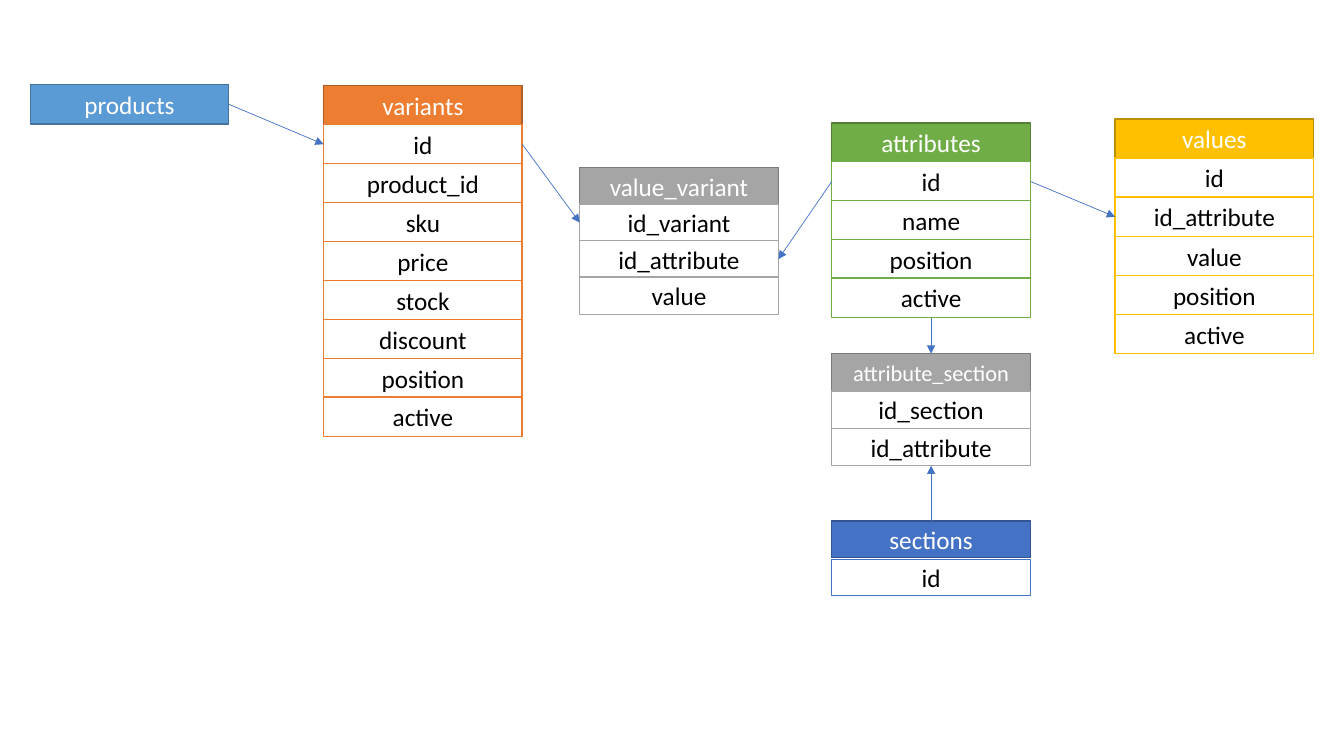
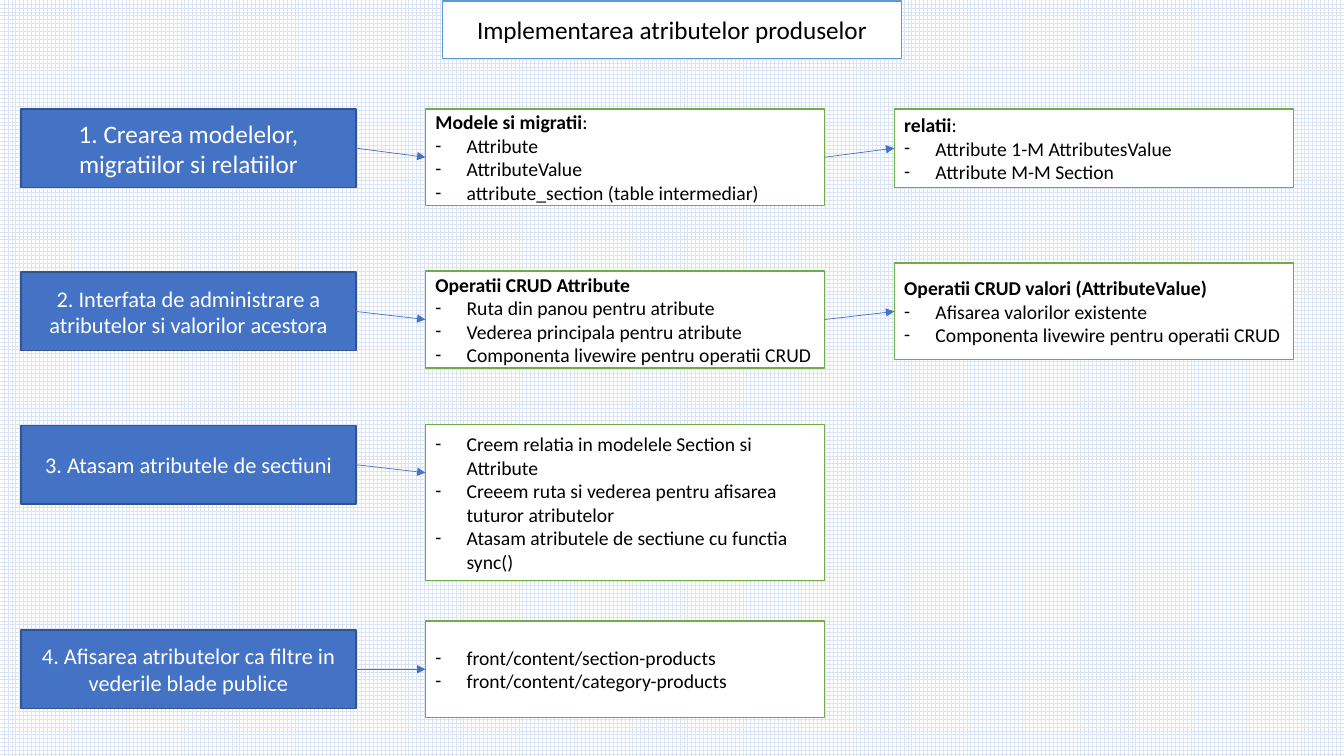
from dataclasses import dataclass

from pptx import Presentation
from pptx.dml.color import RGBColor as RGB
from pptx.enum.dml import MSO_PATTERN
from pptx.enum.shapes import MSO_CONNECTOR, MSO_SHAPE
from pptx.enum.text import MSO_ANCHOR, MSO_AUTO_SIZE, PP_ALIGN
from pptx.oxml.ns import qn
from pptx.util import Inches, Pt
from lxml.etree import SubElement


@dataclass(frozen=True)
class Theme:
    font: str = "Calibri"
    head: int = 18
    step: int = 16
    detail: int = 14
    white: str = "FFFFFF"
    black: str = "000000"
    grid: str = "DAE3F3"
    arrow: str = "4472C4"
    border: float = 1
    arrow_width: float = 0.5
    indent: float = 0.31


T = Theme()

# accent: (fill, header outline)
ACCENTS = {
    "sky": ("5B9BD5", "43739E"),
    "orange": ("ED7D31", "AF5C24"),
    "grey": ("A5A5A5", "7A7A7A"),
    "green": ("70AD47", "538035"),
    "gold": ("FFC000", "BD8E00"),
    "blue": ("4472C4", "325491"),
}
TOP, LEFT, BOTTOM, RIGHT = range(4)  # connection sites of a rectangle

ENTITY_W = 1.97
ENTITY_COLS = (0.3, 3.21, 5.75, 8.25, 11.06)
# name: (column, top, bottom, row height, accent, header size, fields)
ENTITIES = {
    "products": (0, 0.84, 1.23, 0.39, "sky", T.head, []),
    "variants": (1, 0.85, 4.33, 0.39, "orange", T.head,
                 ["id", "product_id", "sku", "price", "stock", "discount",
                  "position", "active"]),
    "value_variant": (2, 1.66, 3.12, 0.37, "grey", T.head,
                      ["id_variant", "id_attribute", "value"]),
    "attributes": (3, 1.22, 3.15, 0.39, "green", T.head,
                   ["id", "name", "position", "active"]),
    "attribute_section": (3, 3.51, 4.62, 0.37, "grey", T.step,
                          ["id_section", "id_attribute"]),
    "sections": (3, 5.17, 5.91, 0.36, "blue", T.head, ["id"]),
    "values": (4, 1.18, 3.51, 0.39, "gold", T.head,
               ["id", "id_attribute", "value", "position", "active"]),
}
# (entity, row, site) to (entity, row, site); row 0 is the header
RELATIONS = [
    (("products", 0, RIGHT), ("variants", 1, LEFT)),
    (("variants", 1, RIGHT), ("value_variant", 1, LEFT)),
    (("attributes", 1, LEFT), ("value_variant", 2, RIGHT)),
    (("attributes", 1, RIGHT), ("values", 2, LEFT)),
    (("attributes", 4, BOTTOM), ("attribute_section", 0, TOP)),
    (("sections", 0, TOP), ("attribute_section", 2, BOTTOM)),
]

PLAN_COLS = ((0.21, 3.32), (4.22, 3.96), (8.87, 3.96))
STEP_H, DETAIL_H = 0.78, 0.96
# (step top, step text, size, [(top, height, heading, bullets), ...])
PLAN = [
    (1.08, "1. Crearea modelelor, migratiilor si relatiilor", T.head, [
        (1.08, DETAIL_H, "Modele si migratii:",
         ["Attribute", "AttributeValue",
          "attribute_section (table intermediar)"]),
        (1.08, STEP_H, "relatii:",
         ["Attribute 1-M AttributesValue", "Attribute M-M Section"]),
    ]),
    (2.7, "2. Interfata de administrare a atributelor si valorilor acestora",
     T.step, [
         (2.69, DETAIL_H, "Operatii CRUD Attribute",
          ["Ruta din panou pentru atribute",
           "Vederea principala pentru atribute",
           "Componenta livewire pentru operatii CRUD"]),
         (2.61, DETAIL_H, "Operatii CRUD valori (AttributeValue)",
          ["Afisarea valorilor existente",
           "Componenta livewire pentru operatii CRUD"]),
     ]),
    (4.22, "3. Atasam atributele de sectiuni", T.step, [
        (4.21, 1.55, "",
         ["Creem relatia in modelele Section si Attribute",
          "Creeem ruta si vederea pentru afisarea tuturor atributelor",
          "Atasam atributele de sectiune cu functia sync()"]),
    ]),
    (6.25, "4. Afisarea atributelor ca filtre in vederile blade publice",
     T.step, [
         (6.16, DETAIL_H, "",
          ["front/content/section-products",
           "front/content/category-products"]),
     ]),
]


def rgb(value):
    return RGB.from_string(value)


def add_run(p, text, size, color, bold=False):
    r = p.add_run()
    r.text = text
    for name, value in dict(name=T.font, size=Pt(size), bold=bold).items():
        setattr(r.font, name, value)
    r.font.color.rgb = rgb(color)


def style_box(sp, fill, line):
    sp.fill.solid()
    sp.fill.fore_color.rgb = rgb(fill)
    sp.line.color.rgb = rgb(line)
    sp.line.width = Pt(T.border)
    tf = sp.text_frame
    frame = dict(word_wrap=True, vertical_anchor=MSO_ANCHOR.MIDDLE,
                 auto_size=MSO_AUTO_SIZE.NONE)
    for name, value in frame.items():
        setattr(tf, name, value)
    return tf


def add_box(shapes, box, fill, line):
    sp = shapes.add_shape(MSO_SHAPE.RECTANGLE, *map(Inches, box))
    sp.shadow.inherit = False
    style_box(sp, fill, line)
    return sp


def add_label(sp, text, size, color):
    p = sp.text_frame.paragraphs[0]
    p.alignment = PP_ALIGN.CENTER
    add_run(p, text, size, color)


def add_bullet(p):
    pPr = p._p.get_or_add_pPr()
    pPr.set("marL", str(Inches(T.indent)))
    pPr.set("indent", str(-Inches(T.indent)))
    SubElement(pPr, qn("a:buFont"), typeface=T.font)
    SubElement(pPr, qn("a:buChar"), char="-")


def add_arrow(slide, start, start_site, end, end_site, drop=None):
    """Join two boxes; drop ends the arrow that far below the target's top."""
    line = slide.shapes.add_connector(MSO_CONNECTOR.STRAIGHT, 0, 0, 0, 0)
    line.begin_connect(start, start_site)
    if drop is None:
        line.end_connect(end, end_site)
    else:
        line.end_x, line.end_y = end.left, end.top + Inches(drop)
    line.line.color.rgb = rgb(T.arrow)
    line.line.width = Pt(T.arrow_width)
    spPr = line._element.spPr
    SubElement(spPr.find(qn("a:ln")), qn("a:tailEnd"), type="triangle")
    SubElement(spPr, qn("a:effectLst"))


def add_entity(slide, name, col, top, bottom, height, accent, size, fields):
    """Stack a header and its fields between top and bottom; return the rows."""
    fill, outline = ACCENTS[accent]
    shapes = slide.shapes.add_group_shape().shapes if fields else slide.shapes
    pitch = (bottom - top - height) / max(len(fields), 1)
    rows = []
    for i, text in enumerate([name, *fields]):
        box = (ENTITY_COLS[col], top + i * pitch, ENTITY_W, height)
        if i == 0:
            sp = add_box(shapes, box, fill, outline)
            add_label(sp, text, size, T.white)
        else:
            sp = add_box(shapes, box, T.white, fill)
            add_label(sp, text, T.head, T.black)
        rows.append(sp)
    return rows


def add_detail(slide, col, top, height, heading, bullets):
    left, width = PLAN_COLS[col]
    sp = add_box(slide.shapes, (left, top, width, height),
                 T.white, ACCENTS["green"][0])
    tf = sp.text_frame
    for i, text in enumerate([heading, *bullets] if heading else bullets):
        p = tf.add_paragraph() if i else tf.paragraphs[0]
        p.alignment = PP_ALIGN.LEFT
        if heading and i == 0:
            title, colon, _ = text.partition(":")
            add_run(p, title, T.detail, T.black, bold=True)
            if colon:
                add_run(p, colon, T.detail, T.black)
        else:
            add_bullet(p)
            add_run(p, text, T.detail, T.black)
    return sp


def add_step_row(slide, top, text, size, details):
    left, width = PLAN_COLS[0]
    previous = add_box(slide.shapes, (left, top, width, STEP_H),
                       *ACCENTS["blue"])
    add_label(previous, text, size, T.white)
    for col, detail in enumerate(details, 1):
        sp = add_detail(slide, col, *detail)
        drop = DETAIL_H / 2 if detail[1] > DETAIL_H else None
        add_arrow(slide, previous, RIGHT, sp, LEFT, drop)
        previous = sp


def add_title(slide, text, box):
    sp = slide.shapes.title
    sp.left, sp.top, sp.width, sp.height = map(Inches, box)
    style_box(sp, T.white, ACCENTS["sky"][0])
    add_label(sp, text, T.head, T.black)


def build_schema(prs):
    slide = prs.slides.add_slide(prs.slide_layouts[6])
    rows = {name: add_entity(slide, name, *entity)
            for name, entity in ENTITIES.items()}
    for (a, i, a_site), (b, j, b_site) in RELATIONS:
        add_arrow(slide, rows[a][i], a_site, rows[b][j], b_site)


def build_plan(prs):
    slide = prs.slides.add_slide(prs.slide_layouts[5])
    fill = slide.background.fill
    fill.patterned()
    fill.pattern = MSO_PATTERN.LARGE_GRID
    fill.fore_color.rgb = rgb(T.grid)
    fill.back_color.rgb = rgb(T.white)
    add_title(slide, "Implementarea atributelor produselor",
              (4.39, 0.01, 4.55, 0.57))
    for row in PLAN:
        add_step_row(slide, *row)


def main():
    prs = Presentation()
    prs.slide_width, prs.slide_height = Inches(13.33), Inches(7.5)
    build_schema(prs)
    build_plan(prs)
    prs.save("out.pptx")


if __name__ == "__main__":
    main()
